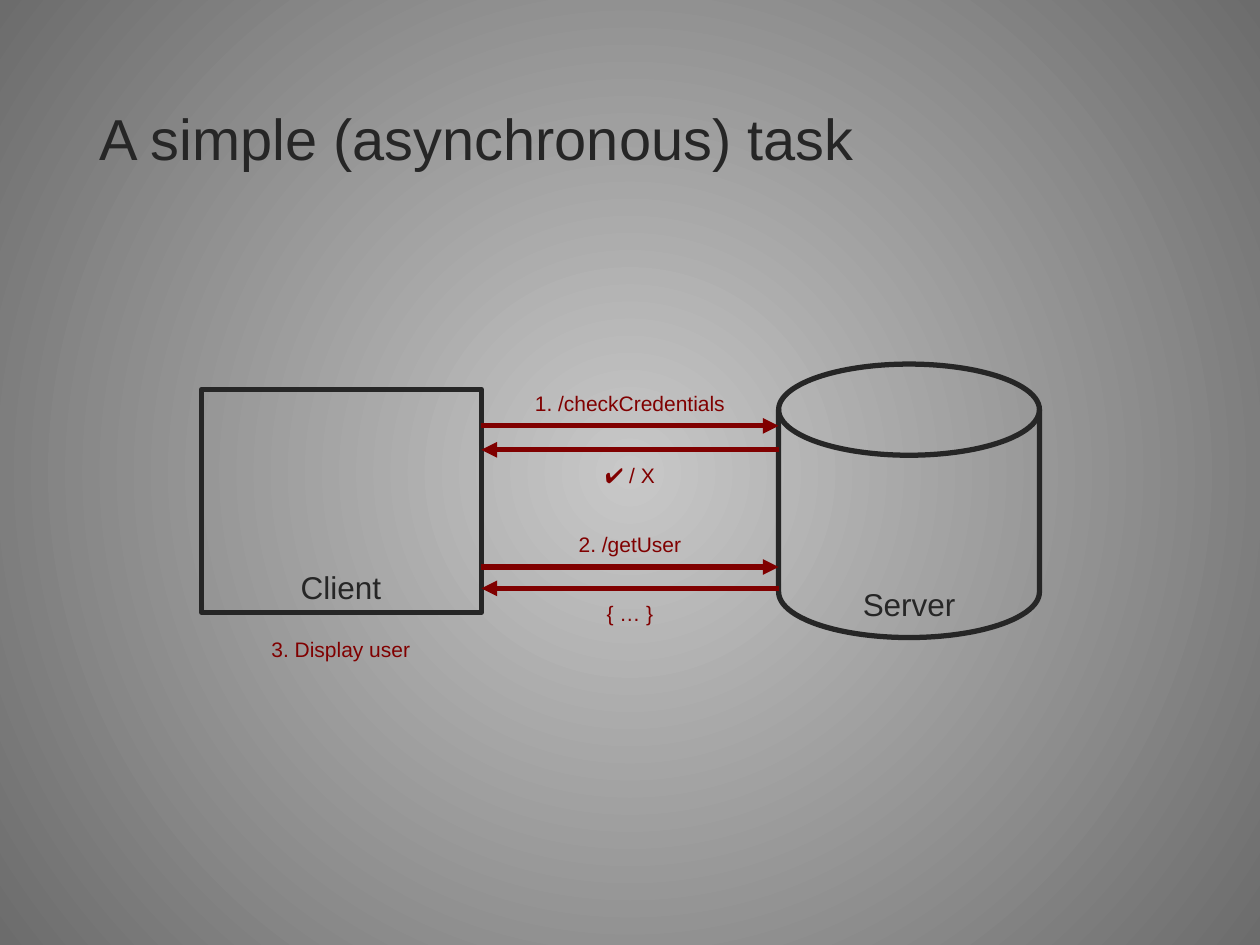
from lxml import etree
from pptx import Presentation
from pptx.dml.color import RGBColor
from pptx.enum.shapes import MSO_CONNECTOR, MSO_SHAPE
from pptx.enum.text import MSO_ANCHOR, PP_ALIGN
from pptx.oxml.ns import qn
from pptx.util import Inches, Pt

STRAIGHT = MSO_CONNECTOR.STRAIGHT
RECTANGLE = MSO_SHAPE.RECTANGLE
DISK = MSO_SHAPE.FLOWCHART_MAGNETIC_DISK
TOP, MIDDLE = MSO_ANCHOR.TOP, MSO_ANCHOR.MIDDLE
LEFT, CENTER = PP_ALIGN.LEFT, PP_ALIGN.CENTER

COLORS = {"ink": "262626", "message": "800000", "center": "C8C8C8", "edge": "6C6C6C"}
FONT = "Arial"
CLIENT_EDGE, SERVER_EDGE = 3.82, 6.18
MESSAGE_WIDTH, MESSAGE_HEIGHT = 1.71, 0.3


def color(name):
    """Return the named colour."""
    return RGBColor.from_string(COLORS[name])


def paint_background(page):
    """Fill the page with a gradient running out from its centre."""
    fill = page.background.fill
    fill.gradient()
    for stop, name, position in zip(fill.gradient_stops, ("center", "edge"), (0, 1)):
        stop.color.rgb = color(name)
        stop.position = position
    linear = next(page.element.iter(qn("a:lin")))
    gradient = linear.getparent()
    gradient.remove(linear)
    circle = etree.SubElement(gradient, qn("a:path"), {"path": "circle"})
    sides = {side: "50000" for side in "ltrb"}
    etree.SubElement(circle, qn("a:fillToRect"), sides)


def add_text(page, text, area, size, ink, align=CENTER, anchor=TOP):
    """Add one line of text and return its paragraph."""
    box = page.shapes.add_textbox(*map(Inches, area))
    frame = box.text_frame
    frame.word_wrap = True
    frame.vertical_anchor = anchor
    frame.text = text
    para = frame.paragraphs[0]
    para.alignment = align
    for span in para.runs:
        span.font.name = FONT
        span.font.size = Pt(size)
        span.font.color.rgb = color(ink)
    return para


def add_message(page, text, left, top):
    """Add a small message label."""
    add_text(page, text, (left, top, MESSAGE_WIDTH, MESSAGE_HEIGHT), 12, "message")


def add_node(page, kind, area, name, label_area):
    """Add an outlined node with its name near the bottom."""
    node = page.shapes.add_shape(kind, *map(Inches, area))
    node.shadow.inherit = False
    node.fill.background()
    node.line.color.rgb = color("ink")
    node.line.width = Pt(3)
    add_text(page, name, label_area, 18, "ink")


def add_arrow(page, start, end, y):
    """Add a horizontal arrow pointing at its end."""
    arrow = page.shapes.add_connector(
        STRAIGHT, Inches(start), Inches(y), Inches(end), Inches(y))
    arrow.line.color.rgb = color("message")
    arrow.line.width = Pt(3)
    etree.SubElement(arrow.line._get_or_add_ln(), qn("a:tailEnd"), {"type": "triangle"})
    etree.SubElement(arrow._element.spPr, qn("a:effectLst"))


def add_exchange(page, request, response, request_y, response_y):
    """Add a request to the server and the response below it."""
    left = (CLIENT_EDGE + SERVER_EDGE - MESSAGE_WIDTH) / 2
    add_arrow(page, CLIENT_EDGE, SERVER_EDGE, request_y)
    add_arrow(page, SERVER_EDGE, CLIENT_EDGE, response_y)
    add_message(page, request, left, request_y - 0.33)
    add_message(page, response, left, response_y + 0.05)


def main():
    """Build the slide and save it."""
    deck = Presentation()
    deck.slide_width, deck.slide_height = Inches(10), Inches(7.5)
    page = deck.slides.add_slide(deck.slide_layouts[6])
    paint_background(page)
    title = add_text(page, "A simple (asynchronous) task", (0.69, 0.4, 8.62, 1.45),
                     33, "ink", LEFT, MIDDLE)
    title.line_spacing = 0.9
    add_node(page, RECTANGLE, (1.6, 3.09, 2.22, 1.77), "Client", (2.18, 4.46, 1.05, 0.4))
    add_node(page, DISK, (6.18, 2.89, 2.07, 2.17), "Server", (6.69, 4.59, 1.05, 0.4))
    add_message(page, "3. Display user", 1.85, 5)
    add_exchange(page, "1. /checkCredentials", "✔ / X", 3.38, 3.57)
    add_exchange(page, "2. /getUser", "{ … }", 4.5, 4.67)
    deck.save("out.pptx")


if __name__ == "__main__":
    main()
